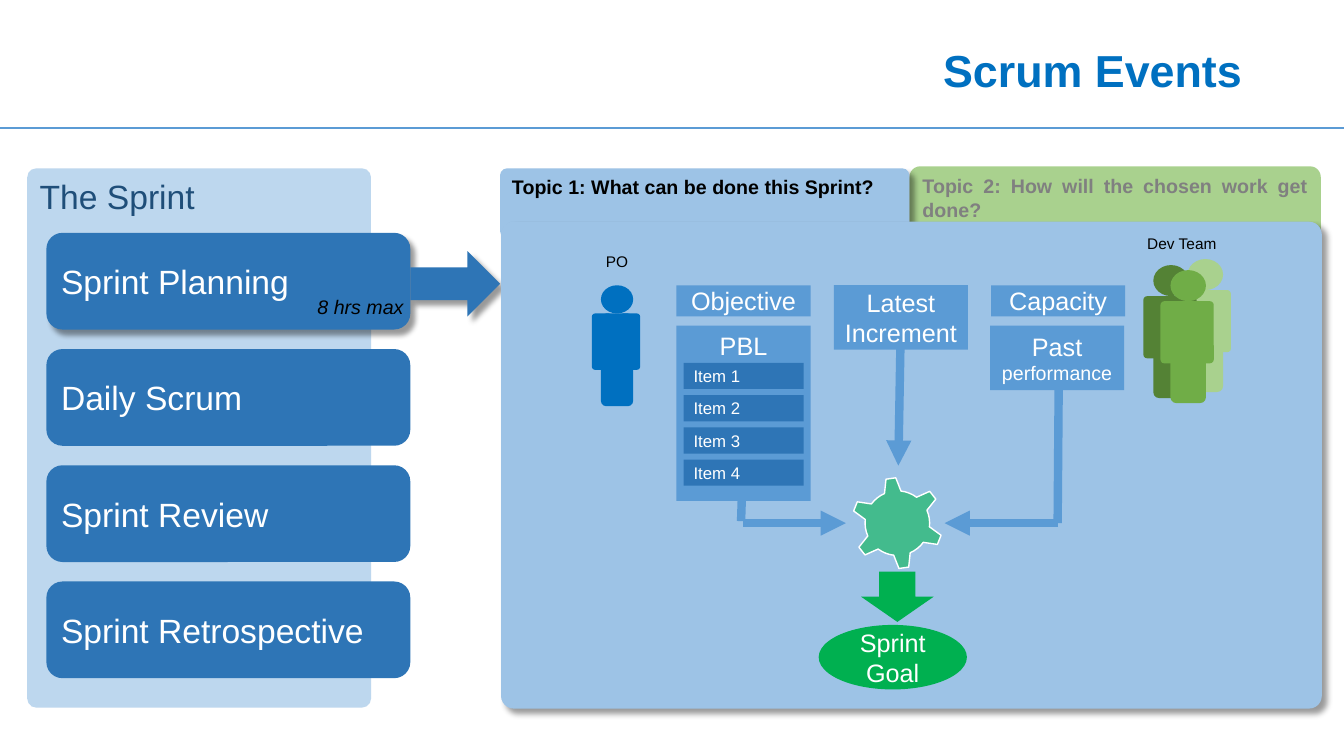
from math import cos, radians, sin
from lxml import etree
from pptx import Presentation
from pptx.dml.color import RGBColor
from pptx.enum.shapes import MSO_CONNECTOR, MSO_SHAPE
from pptx.enum.text import MSO_ANCHOR, PP_ALIGN
from pptx.oxml.ns import qn
from pptx.util import Inches, Pt

ROUND = MSO_SHAPE.ROUNDED_RECTANGLE
RECT = MSO_SHAPE.RECTANGLE
OVAL = MSO_SHAPE.OVAL
RIGHT = MSO_SHAPE.RIGHT_ARROW
DOWN = MSO_SHAPE.DOWN_ARROW
LINE = MSO_CONNECTOR.STRAIGHT
TOP, MID = MSO_ANCHOR.TOP, MSO_ANCHOR.MIDDLE
LEFT, MIDDLE = PP_ALIGN.LEFT, PP_ALIGN.CENTER
END, FULL = PP_ALIGN.RIGHT, PP_ALIGN.JUSTIFY

COLORS = {
    "white": "FFFFFF", "black": "000000", "gray": "808080",
    "title": "0070C0", "navy": "1F4E79", "deep": "2E75B6",
    "blue": "5B9BD5", "sky": "9DC3E6", "pale": "BDD7EE",
    "lime": "A9D18E", "leaf": "70AD47", "moss": "548235",
    "goal": "00B050", "gear": "43BB8D",
}

deck = Presentation()
deck.slide_width, deck.slide_height = Inches(13.33), Inches(7.5)
slide = deck.slides.add_slide(deck.slide_layouts[6])
shapes = slide.shapes


def box(kind, at, fill=None, runs=(), ink="white", align=LEFT, anchor=MID,
        bold=False, slant=False, wrap=True, bend=None, shade=False, pad=0.1):
    place = [Inches(n) for n in at]
    if kind is None:
        shape = shapes.add_textbox(*place)
    else:
        shape = shapes.add_shape(kind, *place)
        shape.shadow.inherit = False
        shape.fill.solid()
        shape.fill.fore_color.rgb = RGBColor.from_string(COLORS[fill])
        shape.line.fill.background()
    if bend is not None:
        shape.adjustments[0] = bend
    if shade:
        effects = shape._element.spPr.find(qn("a:effectLst"))
        outer = etree.SubElement(effects, qn("a:outerShdw"), blurRad=str(Pt(4)),
                                 dist=str(Pt(5)), dir="2700000", algn="tl", rotWithShape="0")
        tone = etree.SubElement(outer, qn("a:srgbClr"), val=COLORS["black"])
        etree.SubElement(tone, qn("a:alpha"), val="40000")
    frame = shape.text_frame
    frame.word_wrap = wrap
    frame.vertical_anchor = anchor
    frame.margin_left = frame.margin_right = Inches(pad)
    para = frame.paragraphs[0]
    para.alignment = align
    for text, size in runs:
        run = para.add_run()
        run.text = text
        font = run.font
        font.name, font.size = "Arial", Pt(size)
        font.bold, font.italic = bold, slant
        font.color.rgb = RGBColor.from_string(COLORS[ink])
    return shape


def link(x1, y1, x2, y2, width=6, arrow=False):
    line = shapes.add_connector(LINE, Inches(x1), Inches(y1), Inches(x2), Inches(y2))
    line.line.width = Pt(width)
    line.line.color.rgb = RGBColor.from_string(COLORS["blue"])
    if arrow:
        etree.SubElement(line.line._get_or_add_ln(), qn("a:tailEnd"), type="triangle")
    etree.SubElement(line._element.spPr, qn("a:effectLst"))


link(0, 1.27, 13.33, 1.27, width=1.5)
box(ROUND, (9.02, 1.65, 4.08, 5.35), "lime",
    [("Topic 2: How will the chosen work get done?", 14)],
    "gray", FULL, TOP, bold=True, bend=0.026)
title = box(None, (0.92, 0.4, 11.5, 0.64), None, [("Scrum Events", 32)],
            "title", END, bold=True)
title.text_frame.paragraphs[0].line_spacing = 0.9

box(ROUND, (0.27, 1.67, 3.41, 5.35), "pale", [("The Sprint", 24)],
    "navy", anchor=TOP, bend=0.026)
events = ["Sprint Planning", "Daily Scrum", "Sprint Review", "Sprint Retrospective"]
for row, name in enumerate(events):
    box(ROUND, (0.46, 2.31 + 1.153 * row, 3.61, 0.96), "deep", [(name, 24)],
        shade=row == 0)

box(RIGHT, (4.07, 2.49, 0.89, 0.65), "deep", shade=True)
box(ROUND, (4.96, 1.67, 4.06, 0.69), "sky",
    [("Topic 1: What can be done this Sprint?", 14)],
    "black", FULL, TOP, bold=True, bend=0.1, shade=True)
box(ROUND, (4.97, 2.2, 8.14, 4.83), "sky", bend=0.026, shade=True)

people = [(5.87, 2.83, 1, "title"), (11.68, 2.57, 1.1, "lime"),
          (11.34, 2.63, 1.1, "moss"), (11.51, 2.68, 1.1, "leaf")]
parts = [(OVAL, 0.09, 0, 0.32, 0.28), (ROUND, 0.09, 0.28, 0.32, 0.92),
         (ROUND, 0.28, 0.28, 0.2, 0.56), (ROUND, 0, 0.28, 0.2, 0.56)]
for left, top, scale, color in people:
    for kind, x, y, width, height in parts:
        box(kind, (left + x * scale, top + y * scale, width * scale, height * scale), color)
box(None, (5.91, 2.45, 0.42, 0.29), None, [("PO", 11)], "black", anchor=TOP, wrap=False)
box(None, (11.28, 2.27, 0.91, 0.29), None, [("Dev Team", 11)], "black",
    anchor=TOP, wrap=False)

link(7.37, 4.56, 7.35, 5.17)
box(RECT, (6.71, 2.83, 1.33, 0.31), "blue", [("Objective", 18)], align=MIDDLE)
box(RECT, (6.71, 3.23, 1.33, 1.74), "blue", [("PBL", 18)], align=MIDDLE, anchor=TOP)
for row in range(4):
    box(RECT, (6.78, 3.6 + 0.32 * row, 1.19, 0.26), "deep", [(f"Item {row + 1}", 12)])
box(RECT, (8.27, 2.83, 1.33, 0.64), "blue", [("Latest Increment", 18)], align=MIDDLE)
box(RECT, (9.82, 3.23, 1.33, 0.64), "blue", [("Past ", 18), ("performance", 14)],
    align=MIDDLE, pad=0.04)
box(RECT, (9.83, 2.83, 1.33, 0.31), "blue", [("Capacity", 18)], align=MIDDLE)

tooth = [(-53.5, 0.32), (-44.5, 0.45), (-32, 0.45), (-23.5, 0.32),
         (-16, 0.32), (-8.5, 0.32), (-1, 0.32)]
points = []
for turn in range(0, 360, 60):
    for angle, reach in tooth:
        theta = radians(turn + angle)
        points.append((Inches(8.9 + reach * cos(theta)), Inches(5.19 + reach * sin(theta))))
form = shapes.build_freeform(*points[0])
form.add_line_segments(points[1:], close=True)
gear = form.convert_to_shape()
gear.shadow.inherit = False
gear.fill.solid()
gear.fill.fore_color.rgb = RGBColor.from_string(COLORS["gear"])
gear.line.color.rgb = RGBColor.from_string(COLORS["white"])
gear.line.width = Pt(1)

link(7.37, 5.19, 8.39, 5.19, arrow=True)
link(8.93, 3.46, 8.91, 4.62, arrow=True)
link(10.49, 5.19, 9.37, 5.19, arrow=True)
link(10.5, 3.85, 10.49, 5.19)
box(DOWN, (8.54, 5.67, 0.72, 0.5), "goal")
box(OVAL, (8.12, 6.2, 1.47, 0.64), "goal", [("Sprint Goal", 18)], align=MIDDLE)
box(None, (3.05, 2.88, 1.06, 0.34), None, [("8 hrs max", 14)], "black",
    anchor=TOP, slant=True, wrap=False)

deck.save("out.pptx")
